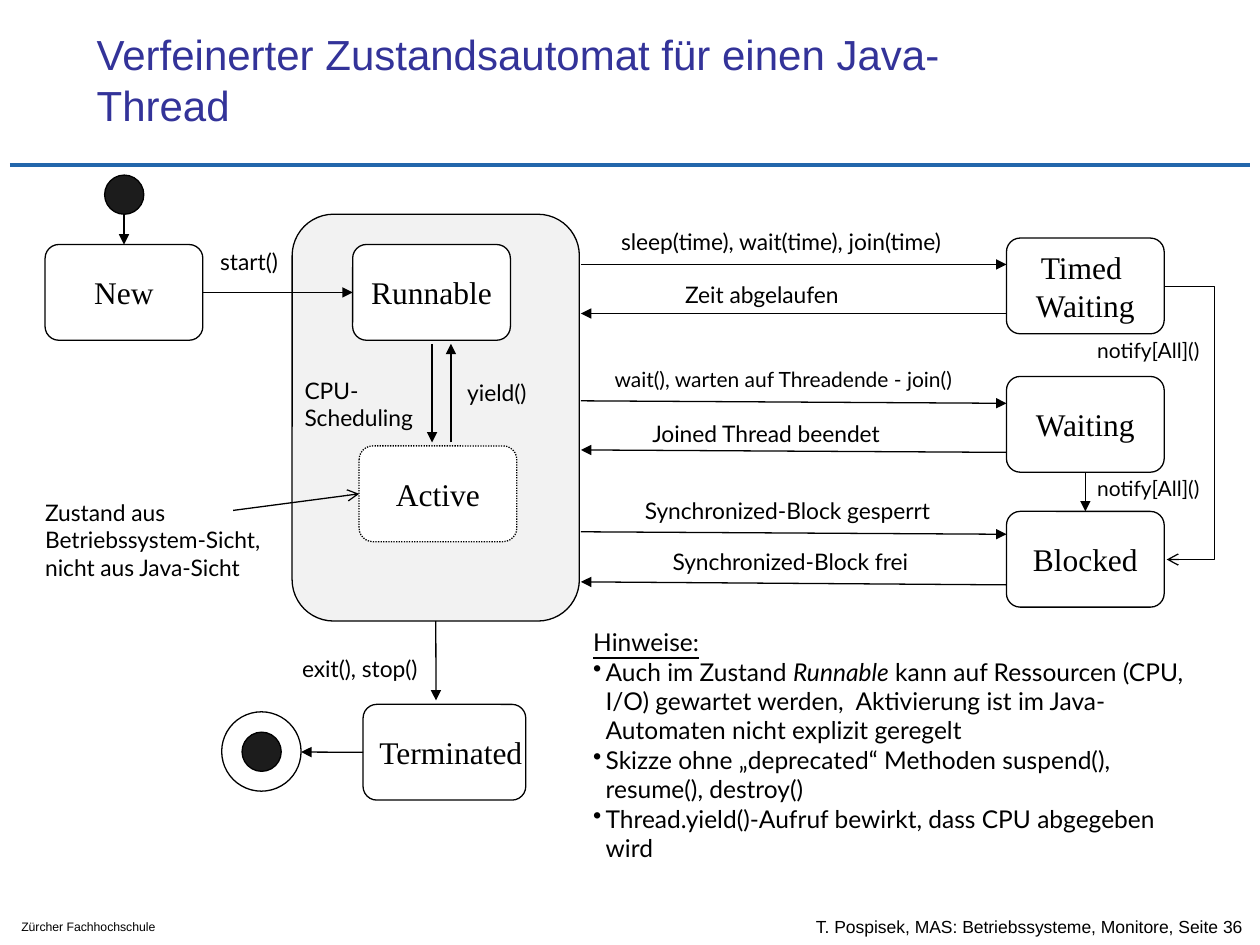
from lxml import etree
from pptx import Presentation
from pptx import util as u
from pptx.dml.color import RGBColor
from pptx.enum import dml, shapes, text
from pptx.oxml.ns import qn

BLACK = RGBColor(0x00, 0x00, 0x00)
WHITE = RGBColor(0xFF, 0xFF, 0xFF)
GREY = RGBColor(0xF2, 0xF2, 0xF2)
DOT = RGBColor(0x1C, 0x1C, 0x1C)
TITLE_BLUE = RGBColor(0x33, 0x33, 0x99)
RULE_BLUE = RGBColor(0x22, 0x66, 0xAB)

TOP, LEFT, BOTTOM, RIGHT = range(4)
STATE_WIDTH, STATE_HEIGHT = 3.18, 1.93
LINE_HEIGHT = 0.55
FRAME_RIGHT, STATES_LEFT = 11.71, 20.29
ROUND = shapes.MSO_SHAPE.ROUNDED_RECTANGLE
CIRCLE = shapes.MSO_SHAPE.OVAL


def set_values(target, values):
    for name, value in values.items():
        setattr(target, name, value)


class Diagram:
    title_font = {"name": "Arial", "size": u.Pt(24)}
    state_font = {"name": "Times New Roman", "size": u.Pt(18)}
    label_font = {"name": "Lato", "size": u.Pt(13)}
    small_label_font = {"name": "Lato", "size": u.Pt(12)}
    note_font = {"name": "Lato", "size": u.Pt(14)}
    line_width = u.Pt(0.75)

    def __init__(self, slide):
        self.slide = slide

    def shape(self, kind, left, top, width, height, fill):
        shape = self.slide.shapes.add_shape(
            kind, u.Cm(left), u.Cm(top), u.Cm(width), u.Cm(height))
        shape.shadow.inherit = False
        shape.fill.solid()
        shape.fill.fore_color.rgb = fill
        shape.line.color.rgb = BLACK
        shape.line.width = self.line_width
        if kind == ROUND:
            shape.adjustments[0] = 0.144
        return shape

    def add_words(self, paragraph, words, font, color=BLACK):
        run = paragraph.add_run()
        run.text = words
        set_values(run.font, font)
        run.font.color.rgb = color

    def add_lines(self, frame, words, font, color=BLACK,
                  align=text.PP_ALIGN.LEFT):
        for index, line in enumerate(words.split("\n")):
            paragraph = frame.add_paragraph() if index else frame.paragraphs[0]
            paragraph.alignment = align
            self.add_words(paragraph, line, font, color)

    def state(self, name, left, top, width=STATE_WIDTH,
              align=text.PP_ALIGN.CENTER):
        shape = self.shape(ROUND, left, top, width, STATE_HEIGHT, WHITE)
        set_values(shape.text_frame,
                   {"word_wrap": False,
                    "vertical_anchor": text.MSO_ANCHOR.MIDDLE})
        self.add_lines(shape.text_frame, name, self.state_font, align=align)
        return shape

    def text_box(self, left, top, width, height, **values):
        box = self.slide.shapes.add_textbox(
            u.Cm(left), u.Cm(top), u.Cm(width), u.Cm(height))
        set_values(box.text_frame, values)
        return box.text_frame

    def label(self, words, left, top, width, font=None, color=BLACK,
              height=None, wrap=False, anchor=text.MSO_ANCHOR.TOP):
        auto_size = (text.MSO_AUTO_SIZE.NONE if height
                     else text.MSO_AUTO_SIZE.SHAPE_TO_FIT_TEXT)
        height = height or 0.26 + LINE_HEIGHT * (words.count("\n") + 1)
        frame = self.text_box(left, top, width, height, word_wrap=wrap,
                              auto_size=auto_size, vertical_anchor=anchor)
        self.add_lines(frame, words, font or self.label_font, color)

    def notes(self, heading, items, left, top, width, height):
        """Underlined heading, then bullets made of (words, italic) parts."""
        frame = self.text_box(left, top, width, height, word_wrap=True)
        self.add_words(frame.paragraphs[0], heading,
                       {**self.note_font, "underline": True})
        indent = u.Cm(0.25)
        for parts in items:
            paragraph = frame.add_paragraph()
            properties = paragraph._p.get_or_add_pPr()
            properties.set("marL", str(int(indent)))
            properties.set("indent", str(-int(indent)))
            etree.SubElement(properties, qn("a:buChar")).set("char", "•")
            for words, italic in parts:
                self.add_words(paragraph, words,
                               {**self.note_font, "italic": italic})

    def line(self, start, end, color=BLACK, width=None, head=None,
             kind=shapes.MSO_CONNECTOR.STRAIGHT):
        """Each end is an (x, y) point or a (shape, side) pair."""
        ends = [(place, hasattr(place[0], "shape_id")) for place in (start, end)]
        points = [(0, 0) if joined else place for place, joined in ends]
        connector = self.slide.shapes.add_connector(
            kind, *(u.Cm(value) for point in points for value in point))
        joins = (connector.begin_connect, connector.end_connect)
        for (place, joined), join in zip(ends, joins):
            if joined:
                join(*place)
        connector.line.color.rgb = color
        connector.line.width = width or self.line_width
        if head:
            outline = connector.line._get_or_add_ln()
            etree.SubElement(outline, qn("a:tailEnd")).set("type", head)
        etree.SubElement(connector.element.spPr, qn("a:effectLst"))
        return connector

    def arrow(self, start, end, head="triangle"):
        return self.line(start, end, head=head)

    def bent_arrow(self, start, end, bend_x):
        """Elbow arrow whose upright part stands at bend_x."""
        connector = self.line(start, end, head="arrow",
                              kind=shapes.MSO_CONNECTOR.ELBOW)
        share = (u.Cm(bend_x) - connector.begin_x) / connector.width
        guides = connector.element.spPr.find(".//" + qn("a:avLst"))
        guide = etree.SubElement(guides, qn("a:gd"))
        guide.set("name", "adj1")
        guide.set("fmla", f"val {round(share * 100000)}")


def main():
    presentation = Presentation()
    presentation.slide_width, presentation.slide_height = u.Cm(25.4), u.Cm(19.05)
    diagram = Diagram(presentation.slides.add_slide(presentation.slide_layouts[6]))

    diagram.line((0.2, 3.33), (25.2, 3.33), RULE_BLUE, u.Pt(2.5))
    diagram.label("T. Pospisek, MAS: Betriebssysteme, Monitore, Seite 36",
                  16.2, 18.29, 9.15, {"name": "Arial", "size": u.Pt(10)},
                  height=0.76, anchor=text.MSO_ANCHOR.MIDDLE)
    diagram.label("Zürcher Fachhochschule", 0.18, 18.41, 4.37,
                  {"name": "Arial", "size": u.Pt(7)}, height=0.56, wrap=True)
    diagram.label("Verfeinerter Zustandsautomat für einen Java-Thread",
                  1.7, 0.84, 17.91, diagram.title_font, TITLE_BLUE,
                  height=1.9, wrap=True, anchor=text.MSO_ANCHOR.BOTTOM)

    frame = diagram.shape(ROUND, 5.89, 4.32, 5.79, 8.2, GREY)
    new = diagram.state("New", 0.91, 4.93)
    runnable = diagram.state("Runnable", 7.11, 4.93)
    active = diagram.state("Active", 7.24, 8.99)
    active.line.dash_style = dml.MSO_LINE.ROUND_DOT
    terminated = diagram.state("Terminated", 7.32, 14.2, 3.28,
                               text.PP_ALIGN.LEFT)
    diagram.state("Timed \nWaiting", STATES_LEFT, 4.8)
    waiting = diagram.state("Waiting", STATES_LEFT, 7.59)
    blocked = diagram.state("Blocked", STATES_LEFT, 10.31)
    for left, top, size, fill in ((2.11, 3.53, 0.79, DOT),
                                  (4.47, 14.35, 1.6, WHITE),
                                  (4.88, 14.76, 0.79, DOT)):
        diagram.shape(CIRCLE, left, top, size, size, fill)

    diagram.arrow((2.5, 4.32), (new, TOP))
    diagram.arrow((new, RIGHT), (runnable, LEFT))
    diagram.arrow((8.71, 6.93), (8.71, 8.92))
    diagram.arrow((9.09, 8.92), (9.09, 6.93))
    diagram.arrow((frame, BOTTOM), (8.79, 14.12))
    diagram.arrow((terminated, LEFT), (6.07, 15.16))
    diagram.arrow((waiting, BOTTOM), (blocked, TOP))
    diagram.arrow((4.7, 10.29), (active, LEFT), "arrow")
    for y_frame, y_state in ((5.33, 5.33), (8.08, 8.13), (10.72, 10.77)):
        diagram.arrow((FRAME_RIGHT, y_frame), (STATES_LEFT, y_state))
    for y_state, y_frame in ((6.32, 6.32), (9.12, 9.07), (11.79, 11.73)):
        diagram.arrow((STATES_LEFT, y_state), (FRAME_RIGHT, y_frame))
    diagram.bent_arrow((23.47, 5.77), (23.52, 11.28), 24.49)

    for label in (("start()", 4.19, 4.88, 1.78),
                  ("exit(), stop()", 5.84, 13.08, 3),
                  ("CPU-\nScheduling", 5.89, 7.47, 2.87),
                  ("yield()", 9.17, 7.52, 1.78),
                  ("Zustand aus\nBetriebssystem-Sicht,\nnicht aus Java-Sicht",
                   0.66, 9.93, 5.23),
                  ("sleep(time), wait(time), join(time)", 12.27, 4.47, 7.54),
                  ("Zeit abgelaufen", 13.56, 5.54, 3.86),
                  ("Synchronized-Block gesperrt", 12.75, 9.88, 6.65)):
        diagram.label(*label)
    for label in (("Joined Thread beendet", 12.9, 8.33, 6.4),
                  ("Synchronized-Block frei", 13.31, 10.92, 6.3)):
        diagram.label(*label, wrap=True)
    for label in (("wait(), warten auf Threadende - join()", 12.14, 7.26, 7.92),
                  ("notify[All]()", 21.87, 6.68, 2.67),
                  ("notify[All]()", 21.87, 9.47, 2.67)):
        diagram.label(*label, font=diagram.small_label_font)

    diagram.notes("Hinweise:", (
        (("Auch im Zustand ", False), ("Runnable", True),
         (" kann auf Ressourcen (CPU, I/O) gewartet werden,  Aktivierung ist "
          "im Java-Automaten nicht explizit geregelt", False)),
        (("Skizze ohne „deprecated“ Methoden suspend(), resume(), destroy()",
          False),),
        (("Thread.yield()-Aufruf bewirkt, dass CPU abgegeben wird", False),),
    ), FRAME_RIGHT, 12.52, 12.7, 5)

    presentation.save("out.pptx")


if __name__ == "__main__":
    main()
